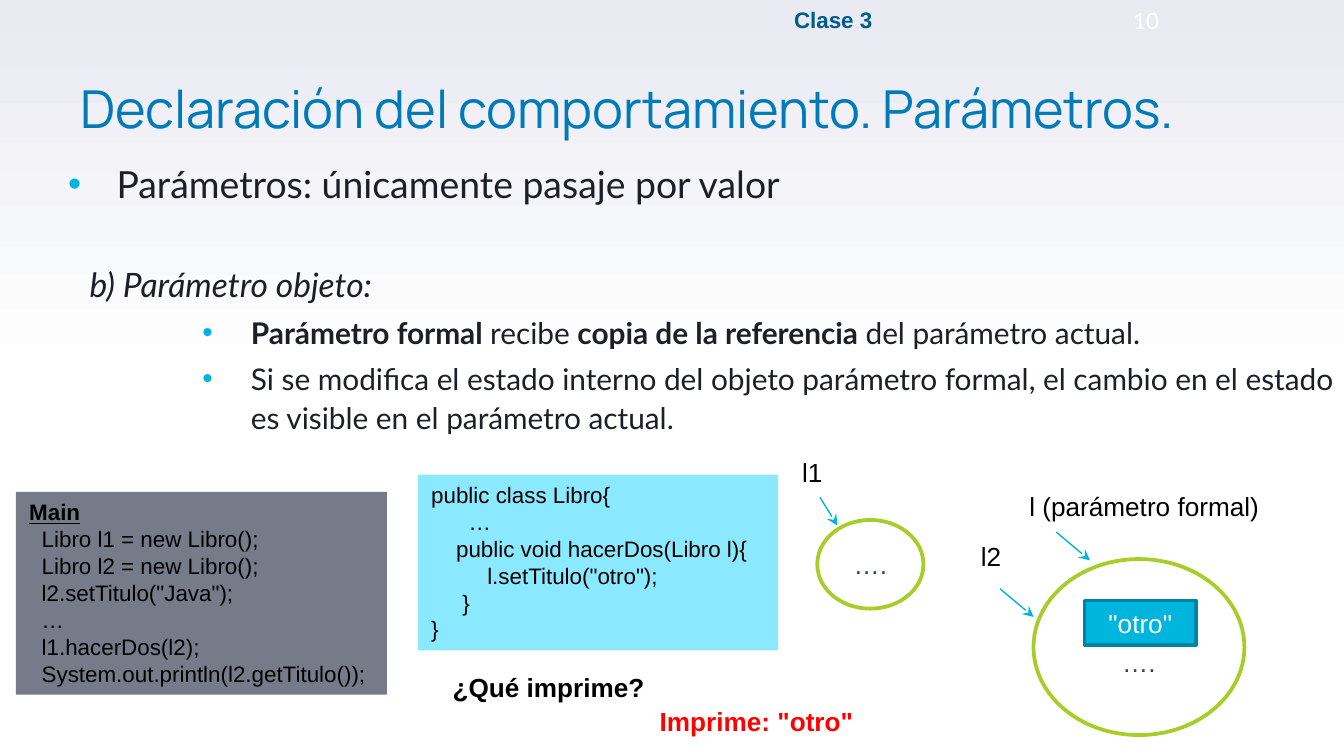
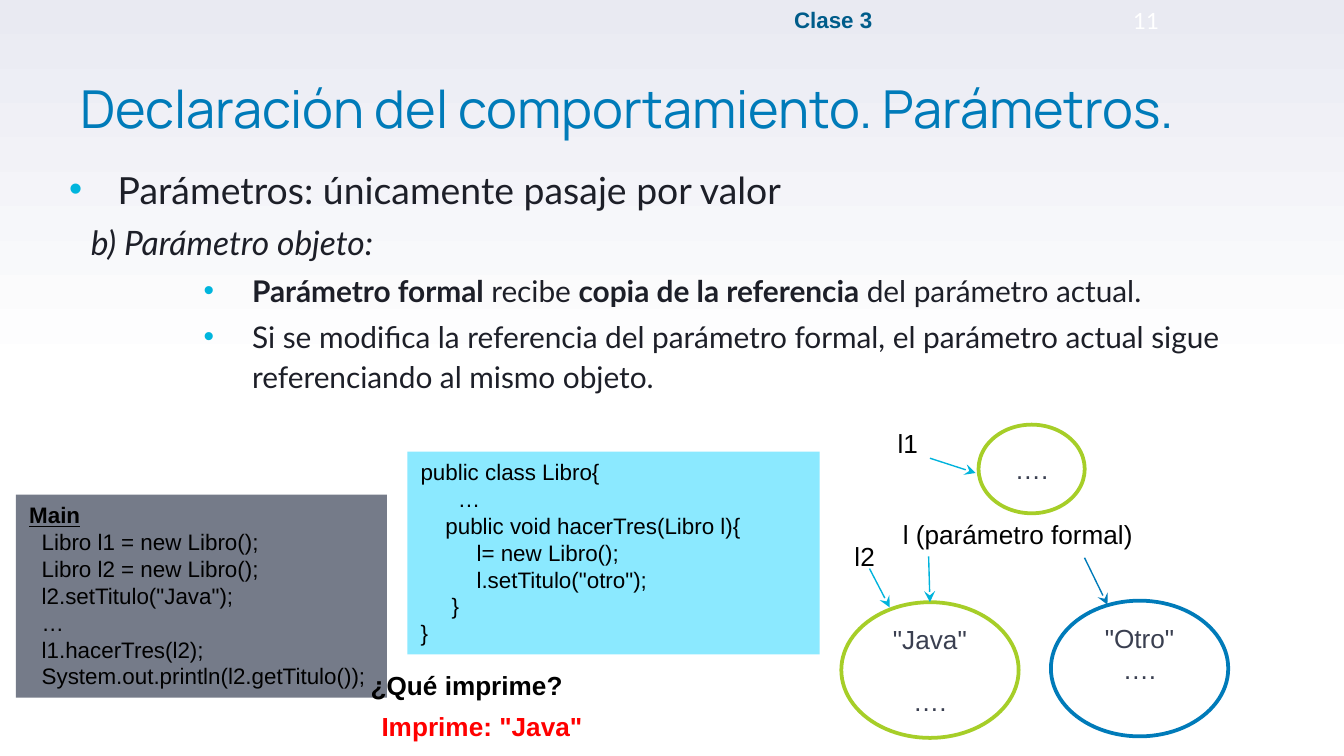
import pptx
import pptx.util
import pptx.dml.color
import pptx.enum.shapes
import pptx.enum.text
import pptx.oxml
import lxml.etree

Pt = pptx.util.Pt
SHAPES = pptx.enum.shapes.MSO_SHAPE
ANCHOR = pptx.enum.text.MSO_ANCHOR
ALIGN = pptx.enum.text.PP_ALIGN

# Shared content and style
TITLE = "Declaración del comportamiento. Parámetros."
HEADER = "Clase 3"
BLUE, CYAN, GREEN, BLACK = "007BB9", "00B3DC", "A6CE28", "000000"
WHITE, INK, BULLET = "FFFFFF", "1D1F28", "00B5DD"
SPACE_WIDTH = 3.34   # one space of 12 pt Arial
BLANK_LINE = 16      # one line of 14 pt Arial
SMALL_ELLIPSE = (56.9, 47.5)
BODY_SIZE = (708.5, 288)

# Body levels: size, left margin, first-line indent, italic
LEVELS = {
    "topic": (20, 36, -26, False),
    "case": (18, 21.6, 0, True),
    "detail": (16, 108, -26, False),
}
FORMAL = [("Parámetro formal ", True), ("recibe ", False),
          ("copia de la referencia ", True), ("del parámetro actual.", False)]


def main_code(call):
    return [(0, "Main"), (2, "Libro l1 = new Libro();"), (2, "Libro l2 = new Libro();"),
            (2, 'l2.setTitulo("Java");'), (2, "…"), (2, call),
            (2, "System.out.println(l2.getTitulo());")]


def class_code(method, statements):
    return [(0, "public class Libro{"), (6, "…"), (4, f"public void {method}(Libro l){{"),
            *[(9, statement) for statement in statements], (5, "}"), (0, "}")]


# Ellipses: box, line colour, lines of text, gap between lines, extra top and bottom margin
# Labels: text, left, top, width; arrows: start, end, colour
SLIDES = [
    {
        "number": "10",
        "body_at": (19.4, 80.6),
        "case_gap": 28.6,
        "detail": "Si se modifica el estado interno del objeto parámetro formal, "
                  "el cambio en el estado es visible en el parámetro actual.",
        "main": ((8.6, 263.5, 198.7, 108.7), main_code("l1.hacerDos(l2);")),
        "class": ((223.9, 254.2, 193, 94.3),
                  class_code("hacerDos", ['l.setTitulo("otro");'])),
        "ellipses": [
            ((553.7, 299.5, 113, 94.3), GREEN, ["…."], 0, BLANK_LINE, 0),
            ((437.8, 278.6, *SMALL_ELLIPSE), GREEN, ["…."], 0, 0, 0),
        ],
        "value": ('"otro"', (581, 321.8, 59.8, 23.8)),
        "labels": [("l1", 422.6, 241.2, 34), ("l2", 518.4, 285.8, 34),
                   ("l (parámetro formal)", 544.3, 259.2, 170)],
        "arrows": [((535.7, 315.4), (553.7, 330.5), CYAN),
                   ((565.9, 285.1), (583.9, 300.2), CYAN),
                   ((439.2, 266.4), (448.6, 281.5), CYAN)],
        "question_at": (235.4, 356.4),
        "answer": ('Imprime: "otro"', 346.3, 374.4),
    },
    {
        "number": "11",
        "body_at": (20, 83.4),
        "case_gap": 3.6,
        "detail": "Si se modifica la referencia del parámetro formal, "
                  "el parámetro actual sigue referenciando al mismo objeto.",
        "main": ((8.6, 265, 198.7, 108.7), main_code("l1.hacerTres(l2);")),
        "class": ((218.2, 241.9, 221, 108.7),
                  class_code("hacerTres", ["l= new Libro();", 'l.setTitulo("otro");'])),
        "ellipses": [
            ((450.7, 322.6, 95, 72.7), GREEN, ['"Java"', "…."], BLANK_LINE, 0, 0),
            ((563, 321.8, 95, 72.7), BLUE, ['"Otro"', "…."], 0, 0, BLANK_LINE),
            ((524.2, 227.5, *SMALL_ELLIPSE), GREEN, ["…."], 0, 0, 0),
        ],
        "value": None,
        "labels": [("l1", 473.8, 225.4, 30), ("l2", 450.7, 285.8, 30),
                   ("l (parámetro formal)", 476.6, 274.3, 142)],
        "arrows": [((465.8, 304.6), (476.6, 325.4), CYAN),
                   ((497.5, 298.1), (498.2, 322.6), CYAN),
                   ((581, 298.8), (593.3, 324), BLUE),
                   ((498.2, 245.5), (522.7, 253.4), CYAN)],
        "question_at": (191.5, 355),
        "answer": ('Imprime: "Java"', 197.3, 377.3),
    },
]


def rgb(value):
    return pptx.dml.color.RGBColor.from_string(value)


def points(values):
    return [Pt(value) for value in values]


def add_child(parent, tag, **attributes):
    child = lxml.etree.SubElement(parent, pptx.oxml.ns.qn(tag))
    for name, value in attributes.items():
        child.set(name, value)
    return child


def set_font(paragraph, size, color, name="Arial", bold=False, italic=False):
    font = paragraph.font
    font.size, font.name, font.bold, font.italic = Pt(size), name, bold, italic
    font.color.rgb = rgb(color)


def paragraphs(frame, count):
    """Yield the first paragraph, then new ones, up to count."""
    for index in range(count):
        yield frame.add_paragraph() if index else frame.paragraphs[0]


def add_text(slide, text, box, size=14, color=BLACK, name="Arial", bold=False,
             align=ALIGN.LEFT, anchor=ANCHOR.TOP):
    frame = slide.shapes.add_textbox(*points(box)).text_frame
    frame.word_wrap = True
    frame.vertical_anchor = anchor
    paragraph = frame.paragraphs[0]
    paragraph.text, paragraph.alignment = text, align
    set_font(paragraph, size, color, name, bold)
    return paragraph


def add_box(slide, kind, box, fill, line=None):
    shape = slide.shapes.add_shape(kind, *points(box))
    shape.shadow.inherit = False
    shape.fill.solid()
    shape.fill.fore_color.rgb = rgb(fill)
    if line:
        shape.line.color.rgb = rgb(line)
        shape.line.width = Pt(2)
    else:
        shape.line.fill.background()
    shape.text_frame.word_wrap = True
    return shape


def add_code(slide, box, lines, fill):
    frame = add_box(slide, SHAPES.RECTANGLE, box, fill).text_frame
    frame.vertical_anchor = ANCHOR.TOP
    for paragraph, (spaces, text) in zip(paragraphs(frame, len(lines)), lines):
        paragraph.text, paragraph.alignment = text, ALIGN.LEFT
        paragraph._p.get_or_add_pPr().set("marL", str(Pt(spaces * SPACE_WIDTH)))
        set_font(paragraph, 12, BLACK)
    return frame


def add_ellipse(slide, box, line, lines, gap, top, bottom):
    frame = add_box(slide, SHAPES.OVAL, box, WHITE, line).text_frame
    frame.vertical_anchor = ANCHOR.MIDDLE
    frame.margin_top, frame.margin_bottom = Pt(3.6 + top), Pt(3.6 + bottom)
    for index, paragraph in enumerate(paragraphs(frame, len(lines))):
        paragraph.text, paragraph.alignment = lines[index], ALIGN.CENTER
        paragraph.space_before = Pt(gap if index else 0)
        set_font(paragraph, 14, "3A3F50")


def add_arrow(slide, start, end, color):
    arrow = slide.shapes.add_connector(
        pptx.enum.shapes.MSO_CONNECTOR.STRAIGHT, *points(start + end))
    arrow.line.color.rgb = rgb(color)
    arrow.line.width = Pt(0.75)
    add_child(arrow.line._get_or_add_ln(), "a:tailEnd", type="stealth")
    add_child(arrow._element.spPr, "a:effectLst")


def add_body(slide, content):
    rows = [("topic", [("Parámetros: únicamente pasaje por valor", False)], 3.6),
            ("case", [("b) Parámetro objeto:", False)], content["case_gap"]),
            ("detail", FORMAL, 3.6),
            ("detail", [(content["detail"], False)], 3.6)]
    frame = slide.shapes.add_textbox(*points(content["body_at"] + BODY_SIZE)).text_frame
    frame.word_wrap = True
    for paragraph, (level, runs, gap) in zip(paragraphs(frame, len(rows)), rows):
        size, margin, indent, italic = LEVELS[level]
        paragraph.line_spacing, paragraph.space_before = 1.1, Pt(gap)
        properties = paragraph._p.get_or_add_pPr()
        properties.set("marL", str(Pt(margin)))
        properties.set("indent", str(Pt(indent)))
        if indent:
            add_child(add_child(properties, "a:buClr"), "a:srgbClr", val=BULLET)
            add_child(properties, "a:buFont", typeface="Arial")
            add_child(properties, "a:buChar", char="•")
        set_font(paragraph, size, INK, "Lato", italic=italic)
        for text, bold in runs:
            run = paragraph.add_run()
            run.text = text
            if bold:
                run.font.bold = True


def add_frame(slide, number):
    """Background, header, slide number and title."""
    fill = slide.background.fill
    fill.gradient()
    fill.gradient_angle = 90
    for stop, position, color in zip(fill.gradient_stops, (0.5, 1), (WHITE, "E9EAF2")):
        stop.position = position
        stop.color.rgb = rgb(color)
    add_text(slide, HEADER, (284.4, 0.7, 324, 19.4), 12, "005C8A", bold=True,
             align=ALIGN.CENTER, anchor=ANCHOR.MIDDLE)
    add_text(slide, number, (590, 1, 48, 20), 12, WHITE, "Lato",
             align=ALIGN.CENTER, anchor=ANCHOR.MIDDLE)
    title = add_text(slide, TITLE, (36, 31.7, 648, 58.3), 28, BLUE, "Manrope",
                     anchor=ANCHOR.MIDDLE)
    title.line_spacing = 0.8


def build_slide(presentation, content):
    slide = presentation.slides.add_slide(presentation.slide_layouts[6])
    add_frame(slide, content["number"])
    add_body(slide, content)

    # Code
    heading = add_code(slide, *content["main"], "757B89").paragraphs[0]
    heading.font.bold = heading.font.underline = True
    add_code(slide, *content["class"], "8BE9FF")

    # Objects and references
    for ellipse in content["ellipses"]:
        add_ellipse(slide, *ellipse)
    if content["value"]:
        text, box = content["value"]
        frame = add_box(slide, SHAPES.RECTANGLE, box, BULLET, "0084A1").text_frame
        frame.vertical_anchor = ANCHOR.MIDDLE
        frame.text = text
        frame.paragraphs[0].alignment = ALIGN.CENTER
        set_font(frame.paragraphs[0], 14, WHITE)
    for text, left, top, width in content["labels"]:
        add_text(slide, text, (left, top, width, 24.5))
    for arrow in content["arrows"]:
        add_arrow(slide, *arrow)

    # Question and answer
    add_text(slide, "¿Qué imprime?", (*content["question_at"], 124.6, 24.5), bold=True)
    answer, left, top = content["answer"]
    add_text(slide, answer, (left, top, 140.4, 24.5), color="FF0000", bold=True)


def main():
    presentation = pptx.Presentation()
    presentation.slide_width, presentation.slide_height = Pt(720), Pt(405)
    for content in SLIDES:
        build_slide(presentation, content)
    presentation.save("out.pptx")


if __name__ == "__main__":
    main()
